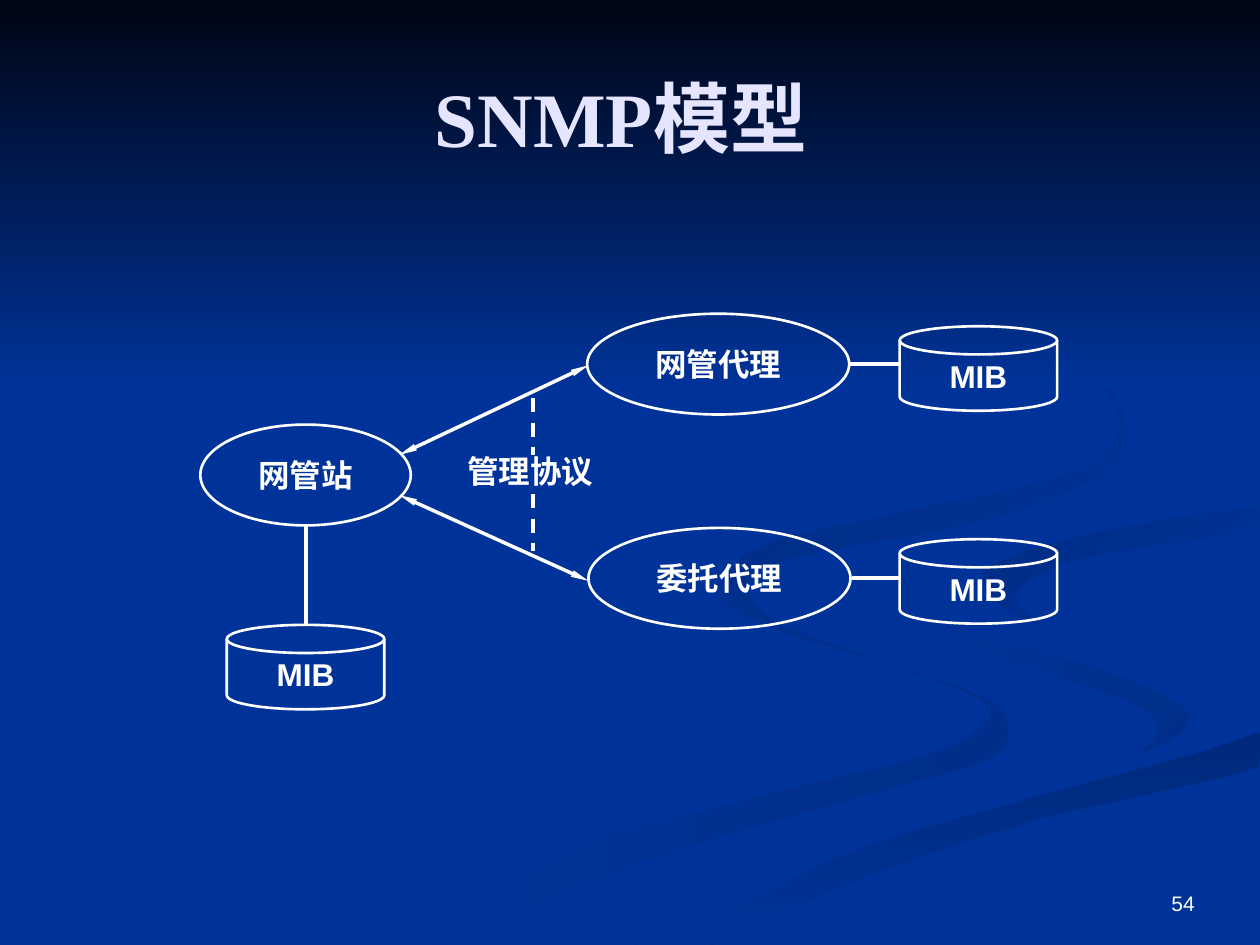
from dataclasses import dataclass

from lxml import etree
from pptx import Presentation
from pptx.dml.color import RGBColor
from pptx.enum.dml import MSO_LINE
from pptx.enum.shapes import MSO_CONNECTOR, MSO_SHAPE
from pptx.enum.text import MSO_ANCHOR, PP_ALIGN
from pptx.oxml.ns import qn
from pptx.util import Pt

EMU_PER_PX = 9144  # 100 px to the inch
SLIDE_WIDTH, SLIDE_HEIGHT = 1000, 750
CURVE_STEPS = 5
WHITE, BLUE, TITLE_COLOR = "FFFFFF", "003399", "E5E5FF"
RECTANGLE = MSO_SHAPE.RECTANGLE
ELLIPSE, DISK = MSO_SHAPE.OVAL, MSO_SHAPE.FLOWCHART_MAGNETIC_DISK
STRAIGHT, DASH = MSO_CONNECTOR.STRAIGHT, MSO_LINE.DASH
CENTER, RIGHT, MIDDLE = PP_ALIGN.CENTER, PP_ALIGN.RIGHT, MSO_ANCHOR.MIDDLE


@dataclass
class Swoosh:
    start_color: str
    end_color: str
    angle: int  # clockwise from left-to-right
    points: list


@dataclass
class Node:
    kind: int
    text: str
    left: int
    top: int
    width: int
    height: int


@dataclass
class Link:
    start: tuple
    end: tuple
    weight: float = 2.25
    arrows: bool = False
    dashed: bool = False


SWOOSHES = [
    Swoosh("002E8A", BLUE, 180, [
        (575, 459), (576, 480), (631, 505), (741, 539), (786, 566), (739, 598), (616, 629),
        (458, 674), (300, 749), (361, 749), (499, 687), (676, 634), (780, 605), (800, 581),
        (781, 553), (682, 519), (594, 485)]),
    Swoosh("002E8A", BLUE, 225, [
        (724, 464), (746, 500), (838, 536), (907, 562), (917, 585), (894, 605), (937, 586),
        (939, 562), (870, 530), (758, 498)]),
    Swoosh("00297C", BLUE, 90, [
        (503, 749), (571, 749), (670, 702), (821, 651), (998, 609), (998, 581), (867, 620),
        (696, 669), (569, 719)]),
    Swoosh(BLUE, BLUE, 0, [
        (725, 464), (775, 503), (905, 540), (943, 575), (869, 611), (663, 668), (477, 749),
        (519, 747), (696, 669), (999, 581), (999, 538), (848, 503), (781, 463), (850, 427),
        (999, 402), (999, 387), (808, 417)]),
    Swoosh(BLUE, "002C85", 225, [
        (781, 460), (791, 478), (826, 496), (805, 472), (859, 443), (998, 420), (998, 402),
        (865, 424), (791, 447)]),
    Swoosh(BLUE, "002B81", 225, [
        (762, 233), (846, 279), (889, 335), (852, 374), (704, 409), (597, 437), (580, 474),
        (622, 500), (593, 470), (624, 444), (786, 412), (883, 370), (890, 324), (843, 275)]),
]
NODES = [
    Node(ELLIPSE, "网管站", 159, 337, 167, 80),
    Node(ELLIPSE, "网管代理", 466, 249, 208, 80),
    Node(ELLIPSE, "委托代理", 467, 419, 208, 80),
    Node(DISK, "MIB", 180, 496, 125, 67),
    Node(DISK, "MIB", 714, 259, 125, 67),
    Node(DISK, "MIB", 714, 428, 125, 67),
]
LINKS = [
    Link((317, 361), (467, 290), 2, arrows=True),
    Link((317, 393), (467, 461), 2, arrows=True),
    Link((243, 417), (243, 496)),
    Link((674, 289), (714, 289)),
    Link((676, 459), (714, 459)),
    Link((423, 316), (423, 361), 2, dashed=True),
    Link((423, 392), (423, 437), 2, dashed=True),
]


def px(*lengths: int) -> list:
    return [length * EMU_PER_PX for length in lengths]


def rgb(color: str) -> RGBColor:
    return RGBColor.from_string(color)


def spline(before: int, start: int, end: int, after: int, t: float) -> float:
    """Catmull-Rom value between start and end."""
    return start + t / 2 * (
        end - before
        + t * (2 * before - 5 * start + 4 * end - after)
        + t * t * (3 * start - before - 3 * end + after))


def smooth_outline(points: list) -> list:
    """Closed curve through the points, kept on the slide."""
    outline = []
    for index in range(len(points)):
        near = [points[(index + offset) % len(points)] for offset in (-1, 0, 1, 2)]
        xs, ys = zip(*near)
        for step in range(CURVE_STEPS):
            t = step / CURVE_STEPS
            outline.append((min(spline(*xs, t), SLIDE_WIDTH), min(spline(*ys, t), SLIDE_HEIGHT)))
    return outline


def paint_gradient(shape, start_color: str, end_color: str, angle: int) -> None:
    shape.shadow.inherit = False
    shape.line.fill.background()
    shape.fill.gradient()
    shape.fill.gradient_angle = (360 - angle) % 360
    for stop, color in zip(shape.fill.gradient_stops, (start_color, end_color)):
        stop.color.rgb = rgb(color)


def add_swoosh(slide, swoosh: Swoosh) -> None:
    first, *others = smooth_outline(swoosh.points)
    builder = slide.shapes.build_freeform(*first, scale=EMU_PER_PX)
    builder.add_line_segments(others, close=True)
    paint_gradient(builder.convert_to_shape(), swoosh.start_color, swoosh.end_color, swoosh.angle)


def write(shape, text: str, size: int, align, bold=True, font_name="Arial", color=WHITE) -> None:
    frame = shape.text_frame
    frame.word_wrap = True
    frame.vertical_anchor = MIDDLE
    frame.text = text
    paragraph = frame.paragraphs[0]
    paragraph.alignment = align
    font = paragraph.font
    font.name, font.size, font.bold = font_name, Pt(size), bold
    font.color.rgb = rgb(color)


def add_node(slide, node: Node) -> None:
    shape = slide.shapes.add_shape(node.kind, *px(node.left, node.top, node.width, node.height))
    shape.shadow.inherit = False
    shape.fill.background()
    shape.line.color.rgb = rgb(WHITE)
    shape.line.width = Pt(1.5)
    write(shape, node.text, 18, CENTER)


def add_link(slide, link: Link) -> None:
    connector = slide.shapes.add_connector(STRAIGHT, *px(*link.start, *link.end))
    connector.line.color.rgb = rgb(WHITE)
    connector.line.width = Pt(link.weight)
    if link.dashed:
        connector.line.dash_style = DASH
    if link.arrows:
        outline = connector.line._get_or_add_ln()
        for end in ("a:headEnd", "a:tailEnd"):
            etree.SubElement(outline, qn(end), type="triangle", w="sm", len="lg")
    etree.SubElement(connector._element.spPr, qn("a:effectLst"))


def add_label(slide, box: tuple, text: str, size: int, align, bold: bool) -> None:
    write(slide.shapes.add_textbox(*px(*box)), text, size, align, bold)


def main() -> None:
    presentation = Presentation()
    presentation.slide_width, presentation.slide_height = px(SLIDE_WIDTH, SLIDE_HEIGHT)
    slide = presentation.slides.add_slide(presentation.slide_layouts[5])
    slide.background.fill.solid()
    slide.background.fill.fore_color.rgb = rgb(BLUE)

    for swoosh in SWOOSHES:
        add_swoosh(slide, swoosh)
    backdrop = slide.shapes.add_shape(RECTANGLE, *px(0, 0, SLIDE_WIDTH, 308))
    paint_gradient(backdrop, "000514", BLUE, 90)

    title = slide.shapes.title
    title.left, title.top, title.width, title.height = px(50, 30, 900, 125)
    write(title, "SNMP模型 ", 44, CENTER, font_name="Times New Roman", color=TITLE_COLOR)
    slide.shapes._spTree.append(title._element)  # in front of the backdrop

    for node in NODES:
        add_node(slide, node)
    for link in LINKS:
        add_link(slide, link)
    add_label(slide, (352, 353, 138, 41), "管理协议", 18, CENTER, True)
    add_label(slide, (750, 700, 208, 33), "54", 12, RIGHT, False)
    presentation.save("out.pptx")


if __name__ == "__main__":
    main()
